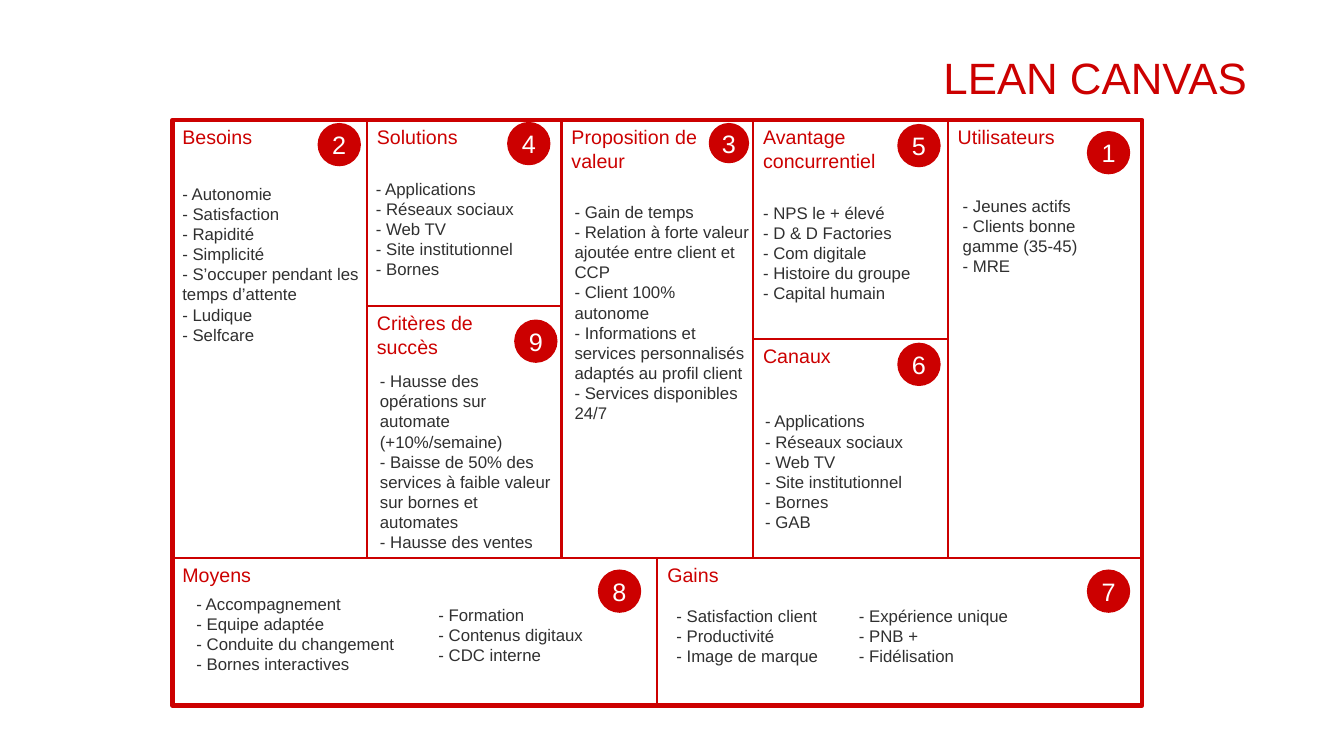
from dataclasses import dataclass

from pptx import Presentation
from pptx.dml.color import RGBColor
from pptx.enum.shapes import MSO_SHAPE
from pptx.enum.text import MSO_ANCHOR, PP_ALIGN
from pptx.util import Inches, Pt

RECTANGLE, OVAL = MSO_SHAPE.RECTANGLE, MSO_SHAPE.OVAL
TOP, MIDDLE = MSO_ANCHOR.TOP, MSO_ANCHOR.MIDDLE
LEFT, CENTER, RIGHT = PP_ALIGN.LEFT, PP_ALIGN.CENTER, PP_ALIGN.RIGHT

FONT = "Arial"
RED, DARK, WHITE = "CC0000", "303030", "FFFFFF"
X1, X2, X3, X4, X5, X6 = 1.71, 3.64, 5.57, 7.47, 9.40, 11.33
XMID = (X1 + X6) / 2
Y1, Y2, Y3 = 1.19, 5.54, 7.0
YSUCCESS, YCHANNELS = 3.04, 3.36
LINE_HEIGHT = 0.2


@dataclass
class Bullets:
    left: float
    top: float
    width: float
    items: list[str]


@dataclass
class Badge:
    number: int
    left: float
    top: float
    size: float = 0.43


@dataclass
class Block:
    title: str
    left: float
    top: float
    right: float
    bottom: float
    badge: Badge
    lists: list[Bullets]


BLOCKS = [
    Block("Moyens", X1, Y2, XMID, Y3, Badge(8, 5.93, 5.65), [
        Bullets(1.85, 5.84, 2.54, ["Accompagnement", "Equipe adaptée",
                                   "Conduite du changement", "Bornes interactives"]),
        Bullets(4.25, 5.95, 2.12, ["Formation", "Contenus digitaux", "CDC interne"]),
    ]),
    Block("Gains", XMID, Y2, X6, Y3, Badge(7, 10.78, 5.65), [
        Bullets(6.61, 5.96, 2.12, ["Satisfaction client", "Productivité", "Image de marque"]),
        Bullets(8.42, 5.96, 2.12, ["Expérience unique", "PNB +", "Fidélisation"]),
    ]),
    Block("Besoins", X1, Y1, X2, Y2, Badge(2, 3.15, 1.22), [
        Bullets(1.71, 1.77, 2.08, ["Autonomie", "Satisfaction", "Rapidité", "Simplicité",
                                   "S’occuper pendant les temps d’attente",
                                   "Ludique", "Selfcare"]),
    ]),
    Block("Solutions", X2, Y1, X3, YSUCCESS, Badge(4, 5.03, 1.21), [
        Bullets(3.63, 1.72, 1.94, ["Applications", "Réseaux sociaux", "Web TV",
                                   "Site institutionnel", "Bornes"]),
    ]),
    Block("Critères de\nsuccès", X2, YSUCCESS, X3, Y2, Badge(9, 5.1, 3.17), [
        Bullets(3.67, 3.63, 1.94, ["Hausse des opérations sur automate (+10%/semaine)",
                                   "Baisse de 50% des services à faible valeur "
                                   "sur bornes et automates",
                                   "Hausse des ventes"]),
    ]),
    Block("Proposition de valeur", X3, Y1, X4, Y2, Badge(3, 7.03, 1.22, 0.4), [
        Bullets(5.6, 1.95, 1.95, ["Gain de temps",
                                  "Relation à forte valeur ajoutée entre client et CCP",
                                  "Client 100% autonome",
                                  "Informations et services personnalisés "
                                  "adaptés au profil client",
                                  "Services disponibles 24/7"]),
    ]),
    Block("Avantage concurrentiel", X4, Y1, X5, YCHANNELS, Badge(5, 8.9, 1.23), [
        Bullets(7.47, 1.96, 1.94, ["NPS le + élevé", "D & D Factories", "Com digitale",
                                   "Histoire du groupe", "Capital humain"]),
    ]),
    Block("Canaux", X4, YCHANNELS, X5, Y2, Badge(6, 8.9, 3.4), [
        Bullets(7.49, 4.03, 1.94, ["Applications", "Réseaux sociaux", "Web TV",
                                   "Site institutionnel", "Bornes", "GAB"]),
    ]),
    Block("Utilisateurs", X5, Y1, X6, Y2, Badge(1, 10.78, 1.3), [
        Bullets(9.45, 1.89, 1.77, ["Jeunes actifs", "Clients bonne gamme (35-45)", "MRE"]),
    ]),
]


def rgb(color: str) -> RGBColor:
    return RGBColor.from_string(color)


def write(sp, paragraphs: list[str], size: float, color: str,
          align=LEFT, anchor=TOP) -> None:
    tf = sp.text_frame
    tf.word_wrap = True
    tf.vertical_anchor = anchor
    for i, text in enumerate(paragraphs):
        p = tf.paragraphs[0] if i == 0 else tf.add_paragraph()
        p.alignment = align
        for j, line in enumerate(text.split("\n")):
            if j:
                p.add_line_break()
            r = p.add_run()
            r.text = line
            r.font.name = FONT
            r.font.size = Pt(size)
            r.font.color.rgb = rgb(color)


def add_textbox(s, left: float, top: float, width: float, height: float):
    return s.shapes.add_textbox(Inches(left), Inches(top), Inches(width), Inches(height))


def add_outline(s, left: float, top: float, right: float, bottom: float, weight: float):
    sp = s.shapes.add_shape(RECTANGLE, Inches(left), Inches(top),
                            Inches(right - left), Inches(bottom - top))
    sp.shadow.inherit = False
    sp.fill.background()
    sp.line.color.rgb = rgb(RED)
    sp.line.width = Pt(weight)
    return sp


def add_badge(s, badge: Badge) -> None:
    sp = s.shapes.add_shape(OVAL, Inches(badge.left), Inches(badge.top),
                            Inches(badge.size), Inches(badge.size))
    sp.shadow.inherit = False
    sp.fill.solid()
    sp.fill.fore_color.rgb = rgb(RED)
    sp.line.fill.background()
    tf = sp.text_frame
    tf.margin_left = tf.margin_right = tf.margin_top = tf.margin_bottom = 0
    write(sp, [str(badge.number)], 18, WHITE, CENTER, MIDDLE)


def add_bullets(s, bullets: Bullets) -> None:
    height = 0.1 + LINE_HEIGHT * len(bullets.items)
    sp = add_textbox(s, bullets.left, bullets.top, bullets.width, height)
    write(sp, [f"- {item}" for item in bullets.items], 12, DARK)


prs = Presentation()
prs.slide_width, prs.slide_height = Inches(13.33), Inches(7.5)
s = prs.slides.add_slide(prs.slide_layouts[6])

title = add_textbox(s, 1.01, 0.42, 11.46, 0.61)
write(title, ["LEAN CANVAS"], 54, RED, RIGHT, MIDDLE)
title.text_frame.paragraphs[0].runs[0]._r.get_or_add_rPr().set("baseline", "12000")

for block in BLOCKS:
    cell = add_outline(s, block.left, block.top, block.right, block.bottom, 1.5)
    write(cell, [block.title], 14, RED)
add_outline(s, X1, Y1, X6, Y3, 3)
for block in BLOCKS:
    add_badge(s, block.badge)
    for bullets in block.lists:
        add_bullets(s, bullets)

prs.save("out.pptx")
